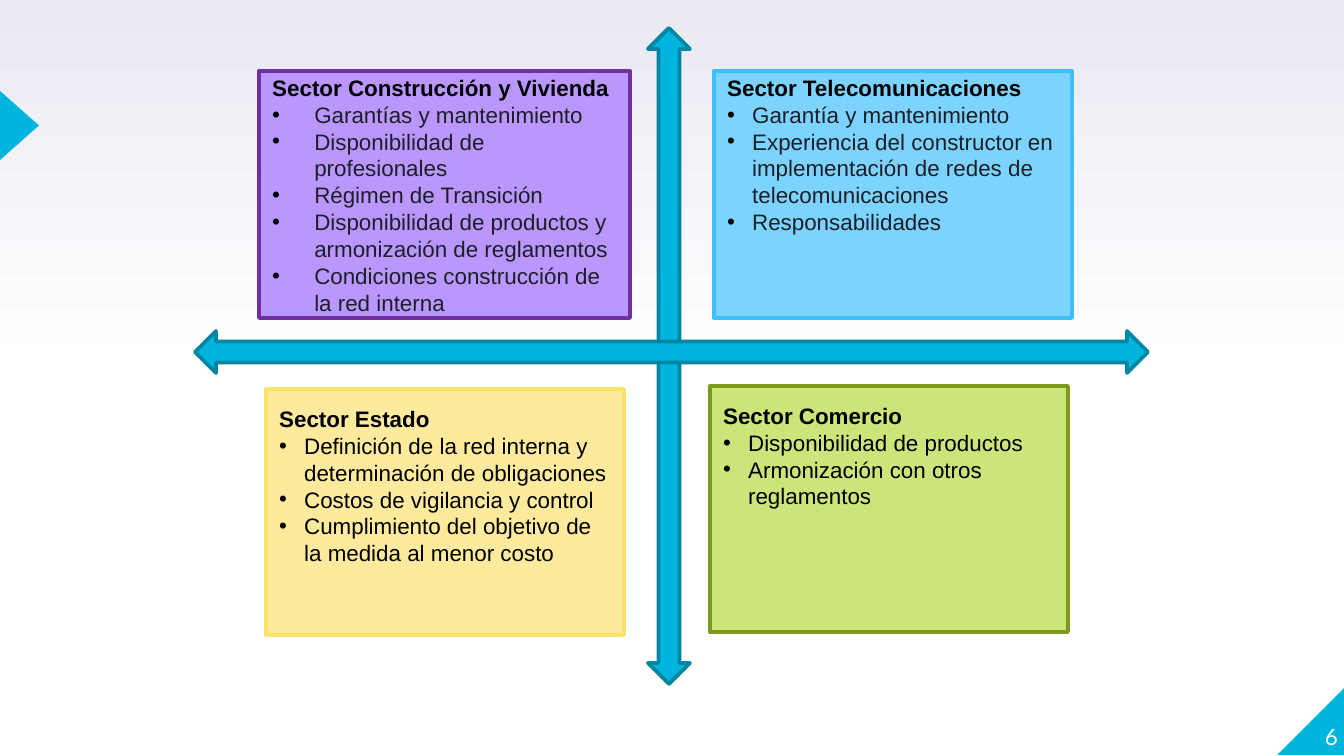
from lxml.etree import SubElement
from pptx import Presentation
from pptx.dml.color import RGBColor
from pptx.enum.shapes import MSO_SHAPE as Shape
from pptx.enum.text import MSO_ANCHOR as Anchor, PP_ALIGN as Align
from pptx.oxml.ns import qn
from pptx.util import Pt

PX = 914400 / 134.4
WIDTH, HEIGHT = 1344, 756
CYAN = RGBColor(0x00, 0xB5, 0xDD)
TEAL = RGBColor(0x00, 0x86, 0xA3)
WHITE = RGBColor(0xFF, 0xFF, 0xFF)
MIST = RGBColor(0xE9, 0xEA, 0xF2)
BLACK = RGBColor(0x00, 0x00, 0x00)
INK = RGBColor(0x1D, 0x1F, 0x28)
PURPLE, VIOLET = RGBColor(0xBA, 0x96, 0xFF), RGBColor(0x70, 0x30, 0xA0)
SKY, BLUE = RGBColor(0x7D, 0xD3, 0xFF), RGBColor(0x3C, 0xBE, 0xFF)
CREAM, YELLOW = RGBColor(0xFD, 0xEA, 0x9C), RGBColor(0xFB, 0xE0, 0x6A)
LIME, OLIVE = RGBColor(0xCB, 0xE5, 0x7A), RGBColor(0x7D, 0x9A, 0x1E)

DECORATIONS = [
    (Shape.RIGHT_TRIANGLE, (1277, 687, 68, 68), 270),
    (Shape.ISOSCELES_TRIANGLE, (-15, 106, 69, 39), 90),
]
AXES = [
    (Shape.UP_DOWN_ARROW, (648, 28, 42, 656)),
    (Shape.LEFT_RIGHT_ARROW, (195, 331, 953, 42)),
]
SECTORS = [
    {"title": "Sector Construcción y Vivienda", "place": (259, 71, 371, 247),
     "fill": PURPLE, "line": VIOLET, "ink": INK, "indent": 42, "inset": 3,
     "items": ["Garantías y mantenimiento",
               "Disponibilidad de profesionales",
               "Régimen de Transición",
               "Disponibilidad de productos y armonización de reglamentos",
               "Condiciones construcción de la red interna"]},
    {"title": "Sector Telecomunicaciones", "place": (714, 71, 358, 247),
     "fill": SKY, "line": BLUE, "ink": INK, "indent": 25, "inset": 3,
     "items": ["Garantía y mantenimiento",
               "Experiencia del constructor en implementación de redes de telecomunicaciones",
               "Responsabilidades"]},
    {"title": "Sector Estado", "place": (266, 389, 358, 246),
     "fill": CREAM, "line": YELLOW, "ink": BLACK, "indent": 25, "inset": 16,
     "items": ["Definición de la red interna y determinación de obligaciones",
               "Costos de vigilancia y control",
               "Cumplimiento del objetivo de la medida al menor costo"]},
    {"title": "Sector Comercio", "place": (710, 386, 358, 246),
     "fill": LIME, "line": OLIVE, "ink": BLACK, "indent": 25, "inset": 16,
     "items": ["Disponibilidad de productos",
               "Armonización con otros reglamentos"]},
]


def px(length):
    return round(length * PX)


def add_shape(slide, kind, place, fill, line=None, rotation=0):
    shape = slide.shapes.add_shape(kind, *map(px, place))
    shape.shadow.inherit = False
    shape.rotation = rotation
    shape.fill.solid()
    shape.fill.fore_color.rgb = fill
    if line is None:
        shape.line.fill.background()
    else:
        shape.line.color.rgb = line
        shape.line.width = Pt(2)
    return shape


def add_run(paragraph, text, color, font="Arial", bold=False):
    run = paragraph.add_run()
    run.text = text
    run.font.name = font
    run.font.size = Pt(12)
    run.font.bold = bold
    run.font.color.rgb = color


def add_bullet(paragraph, indent):
    properties = paragraph._p.get_or_add_pPr()
    properties.set("marL", str(px(indent)))
    properties.set("indent", str(-px(indent)))
    color = SubElement(properties, qn("a:buClr"))
    SubElement(color, qn("a:srgbClr"), val=str(BLACK))
    SubElement(properties, qn("a:buFont"), typeface="Arial")
    SubElement(properties, qn("a:buChar"), char="•")


def add_sector(slide, sector):
    shape = add_shape(slide, Shape.RECTANGLE, sector["place"], sector["fill"], sector["line"])
    frame = shape.text_frame
    frame.word_wrap = True
    frame.vertical_anchor = Anchor.TOP
    frame.margin_top = px(sector["inset"])
    frame.margin_bottom = 0
    title = frame.paragraphs[0]
    add_run(title, sector["title"], BLACK, bold=True)
    for item in sector["items"]:
        paragraph = frame.add_paragraph()
        add_bullet(paragraph, sector["indent"])
        add_run(paragraph, item, sector["ink"])
    for paragraph in frame.paragraphs:
        paragraph.alignment = Align.LEFT
        paragraph.line_spacing = Pt(14.4)


def add_page_number(slide, text):
    box = slide.shapes.add_textbox(*map(px, (1271, 681, 67, 69)))
    frame = box.text_frame
    frame.word_wrap = True
    frame.vertical_anchor = Anchor.BOTTOM
    frame.margin_left = frame.margin_right = frame.margin_top = frame.margin_bottom = 0
    paragraph = frame.paragraphs[0]
    paragraph.alignment = Align.RIGHT
    add_run(paragraph, text, WHITE, font="Lato")


def paint_background(slide):
    fill = slide.background.fill
    fill.gradient()
    fill.gradient_angle = 90
    for stop, color, position in zip(fill.gradient_stops, (WHITE, MIST), (0.5, 1)):
        stop.color.rgb = color
        stop.position = position


def main():
    """Build the slide of four sectors around two crossing arrows."""
    presentation = Presentation()
    presentation.slide_width, presentation.slide_height = px(WIDTH), px(HEIGHT)
    slide = presentation.slides.add_slide(presentation.slide_layouts[6])
    paint_background(slide)
    for kind, place, rotation in DECORATIONS:
        add_shape(slide, kind, place, CYAN, rotation=rotation)
    add_page_number(slide, "6")
    for kind, place in AXES:
        add_shape(slide, kind, place, CYAN, TEAL)
    for sector in SECTORS:
        add_sector(slide, sector)
    presentation.save("out.pptx")


if __name__ == "__main__":
    main()
